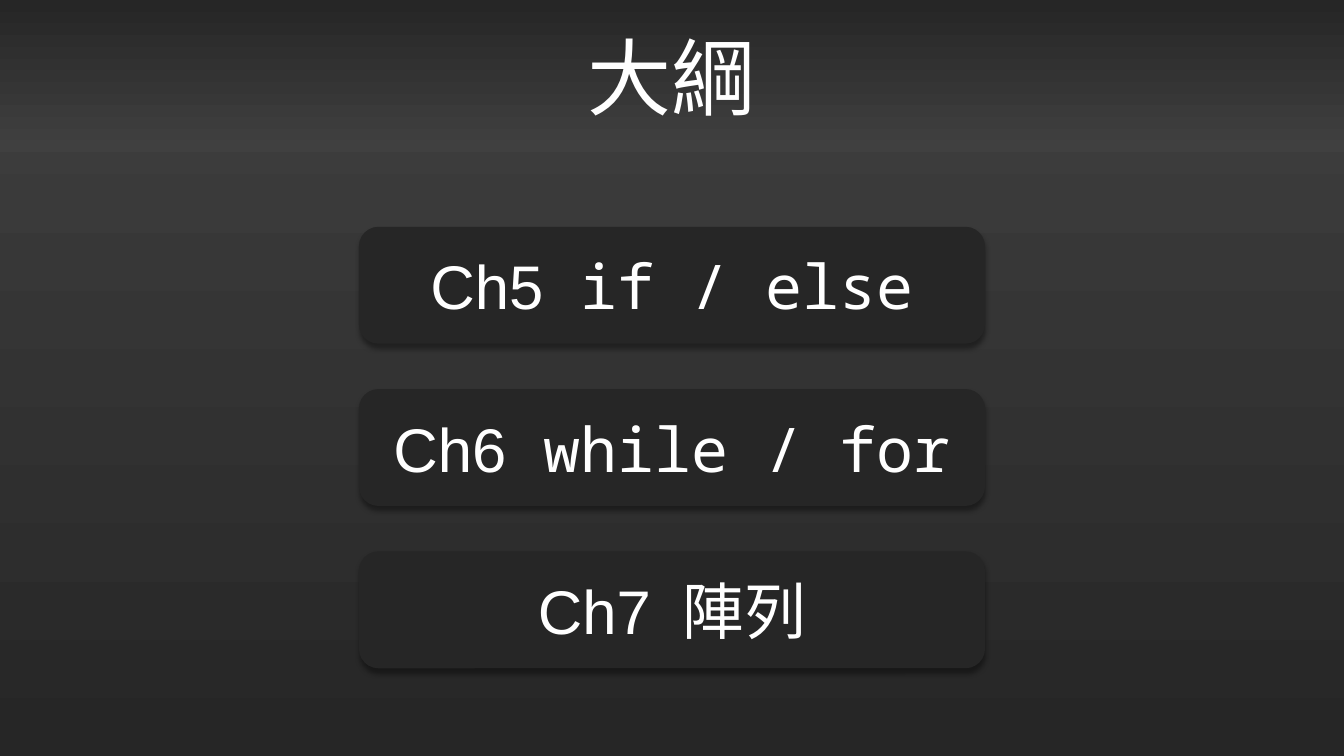
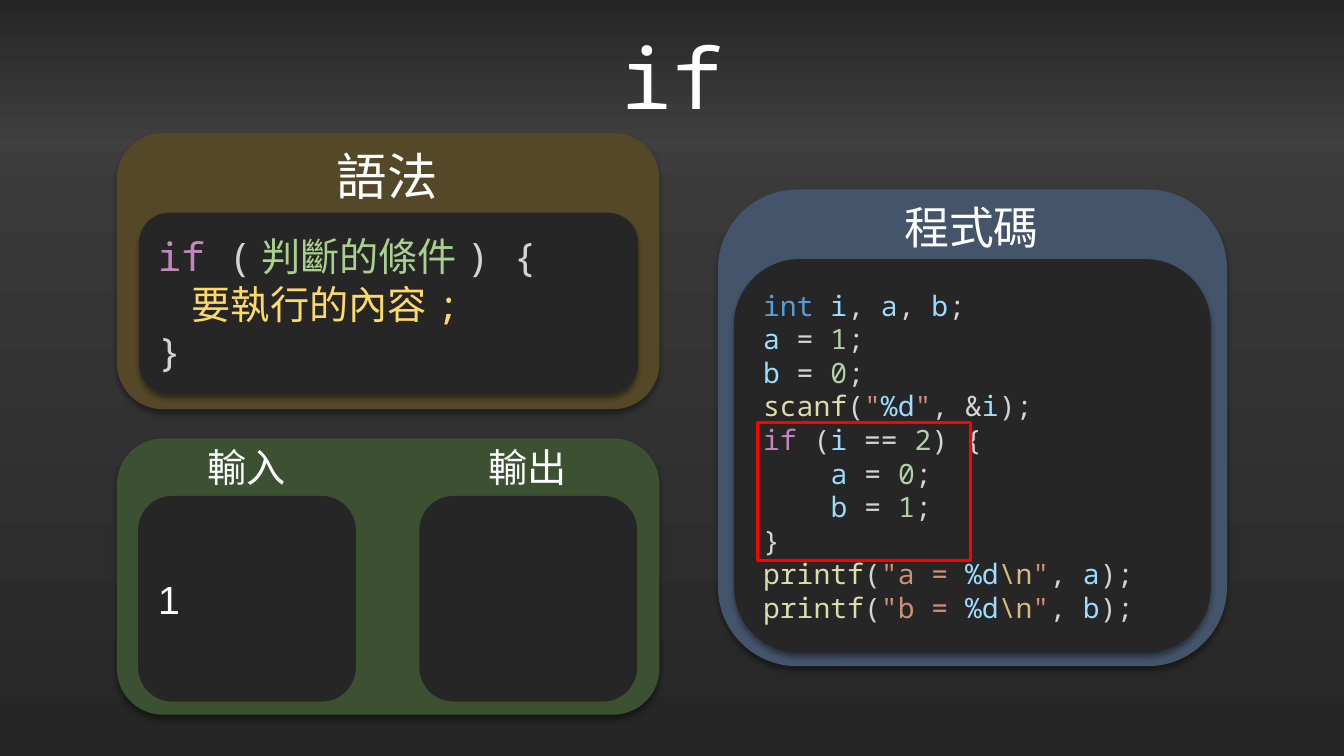
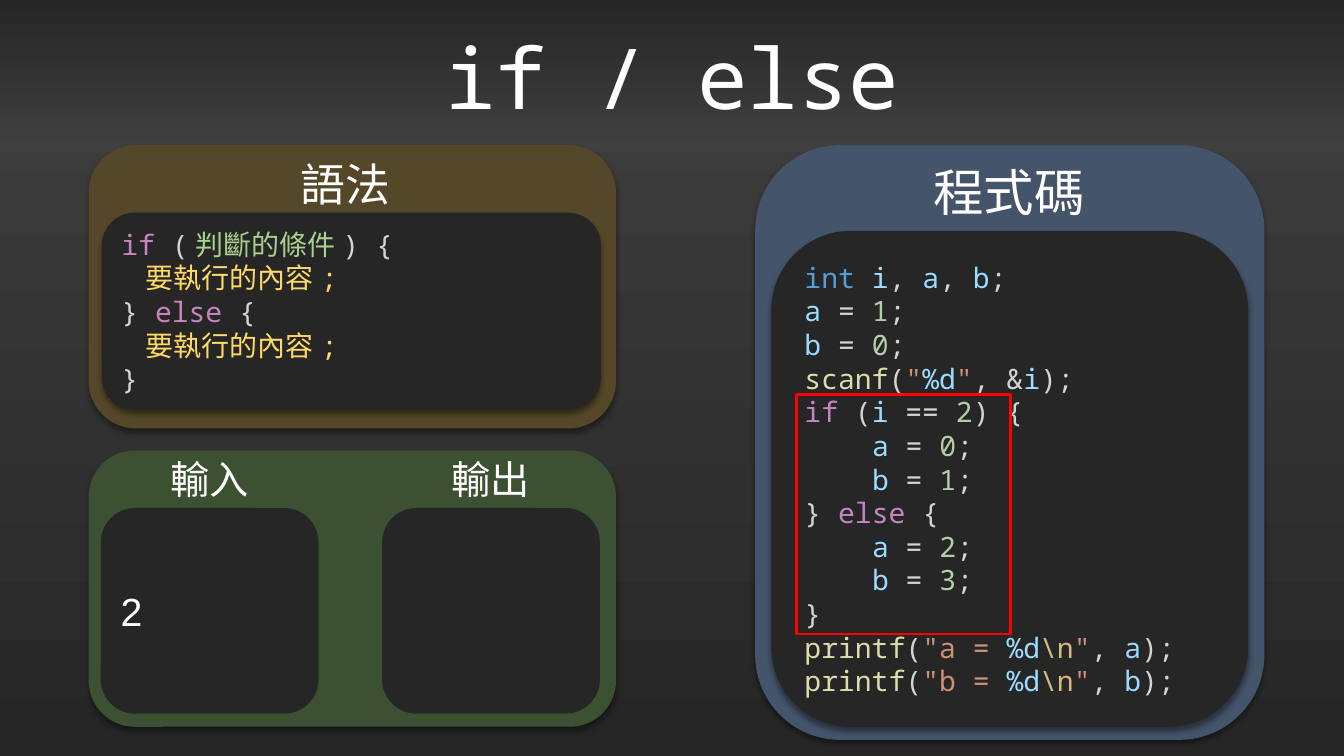
from lxml import etree
from pptx import Presentation, util as u
from pptx.dml.color import RGBColor
from pptx.enum import shapes, text
from pptx.oxml.ns import qn

ARIAL, MONO, CJK = "Arial", "Noto Sans Mono", "Noto Sans CJK TC"
WHITE, DARK, GREY, RED = "FFFFFF", "262626", "404040", "FF0000"
GOLD, GREEN, BLUE = "554829", "3C5032", "44546A"
# Each piece of code starts with the key of its colour.
INK = {
    "t": "569CD6",  # type
    "v": "9CDCFE",  # variable
    "p": "D4D4D4",  # punctuation
    "n": "B5CEA8",  # number
    "f": "DCDCAA",  # function
    "s": "CE9178",  # string
    "k": "C586C0",  # keyword
    "e": "D7BA7D",  # escape
    "c": "A9D18E",  # condition
    "b": "FFD966",  # body
}


def rgb(code):
    return RGBColor.from_string(code)


def inch(vals):
    return [u.Inches(v) for v in vals]


def shade(fill, top, low):
    """Fill with a gradient that runs downwards."""
    fill.gradient()
    fill.gradient_angle = 270
    for stop, code in zip(fill.gradient_stops, (top, low)):
        stop.color.rgb = rgb(code)


def put(obj, vals):
    for key, val in vals.items():
        setattr(obj, key, val)


def let(name, val, pad=""):
    return f"{pad}v{name}|p = |n{val}|p;"


def show(name):
    return f'fprintf|p(|s"{name} = |v%d|e\\n|s"|p, |v{name}|p);'


class Deck:
    def __init__(self):
        self.prs = Presentation()
        put(self.prs, {"slide_width": u.Inches(13.33),
                       "slide_height": u.Inches(7.5)})
        shade(self.prs.slide_master.background.fill, GREY, DARK)

    def page(self, title, font):
        self.slide = self.prs.slides.add_slide(self.prs.slide_layouts[5])
        band = self.slide.shapes.title
        put(band, dict(zip(("left", "top", "width", "height"),
                           inch((0, 0, 13.33, 1.51)))))
        shade(band.fill, DARK, GREY)
        put(band.text_frame, {"auto_size": text.MSO_AUTO_SIZE.NONE,
                              "vertical_anchor": text.MSO_ANCHOR.MIDDLE})
        para = band.text_frame.paragraphs[0]
        para.alignment = text.PP_ALIGN.CENTER
        self.run(para, title, 60, font)

    def run(self, para, words, size, font=ARIAL, color=WHITE):
        run = para.add_run()
        run.text = words
        put(run.font, {"size": u.Pt(size), "name": font, "bold": False})
        run.font.color.rgb = rgb(color)
        east = etree.SubElement(run.font._element, qn("a:ea"))
        east.set("typeface", CJK)

    def box(self, at, fill, glow=True):
        kind = shapes.MSO_SHAPE.ROUNDED_RECTANGLE
        box = self.slide.shapes.add_shape(kind, *inch(at))
        box.shadow.inherit = False
        box.fill.solid()
        box.fill.fore_color.rgb = rgb(fill)
        box.line.fill.background()
        if glow:
            self.glow(box)
        put(box.text_frame, {"word_wrap": True,
                             "vertical_anchor": text.MSO_ANCHOR.MIDDLE})
        box.text_frame.paragraphs[0].alignment = text.PP_ALIGN.LEFT
        return box

    def glow(self, box):
        """Add a soft shadow below the shape."""
        effect = box._element.spPr.find(qn("a:effectLst"))
        outer = etree.SubElement(effect, qn("a:outerShdw"), {
            "blurRad": str(u.Pt(4)), "dist": str(u.Pt(3)),
            "dir": "5400000", "algn": "t", "rotWithShape": "0"})
        tint = etree.SubElement(outer, qn("a:srgbClr"), val="000000")
        etree.SubElement(tint, qn("a:alpha"), val="40000")

    def label(self, words, at, size):
        frame = self.slide.shapes.add_textbox(*inch(at)).text_frame
        put(frame, {"word_wrap": False,
                    "auto_size": text.MSO_AUTO_SIZE.SHAPE_TO_FIT_TEXT})
        self.run(frame.paragraphs[0], words, size)

    def code(self, at, lines, size, step):
        """Write coloured code; a line that starts with > is indented."""
        frame = self.box(at, DARK).text_frame
        for i, line in enumerate(lines):
            para = frame.add_paragraph() if i else frame.paragraphs[0]
            para.alignment = text.PP_ALIGN.LEFT
            if line[0] == ">":
                para._p.get_or_add_pPr().set("marL", str(u.Inches(step)))
            for part in line.lstrip(">").split("|"):
                font = CJK if part[0] in "cb" and part[1:] != ";" else MONO
                self.run(para, part[1:], size, font, INK[part[0]])

    def syntax(self, outer, inner, tag, big, lines, size):
        self.box(outer, GOLD)
        self.code(inner, lines, size, 0.012 * size)
        self.label("語法", tag, big)

    def source(self, x, y, tall, head, tag, big, lines):
        self.box((x, y, 5.05, tall), BLUE)
        self.code((x + 0.16, y + head, 4.73, tall - head - 0.13),
                  lines, 20, 0.67)
        self.label("程式碼", tag, big)

    def mark(self, at):
        kind = shapes.MSO_SHAPE.RECTANGLE
        box = self.slide.shapes.add_shape(kind, *inch(at))
        box.shadow.inherit = False
        box.fill.background()
        box.line.color.rgb = rgb(RED)
        box.line.width = u.Pt(2)

    def ports(self, x, y, wide, pad, given):
        """Draw the input and output boxes in their panel."""
        self.box((x, y, wide, 2.74), GREEN)
        for i, (name, words) in enumerate((("輸入", given), ("輸出", ""))):
            left = x + pad + 2.79 * i
            box = self.box((left, y + 0.57, 2.16, 2.04), DARK, False)
            if words:
                self.run(box.text_frame.paragraphs[0], words, 28)
            self.label(name, (left + 0.59, y, 0.99, 0.57), 28)


def main():
    deck = Deck()

    deck.page("大綱", CJK)
    topics = (("Ch5", " if / else", MONO), ("Ch6", " while / for", MONO),
              ("Ch7 ", "陣列", CJK))
    for i, (num, name, font) in enumerate(topics):
        box = deck.box((3.56, 2.25 + 1.61 * i, 6.21, 1.16), DARK)
        para = box.text_frame.paragraphs[0]
        para.alignment = text.PP_ALIGN.CENTER
        deck.run(para, num, 44)
        deck.run(para, name, 44, font)

    test, body, end = "kif|p (|c判斷的條件|p) {", ">b要執行的內容|b;", "p}"
    turn = "p} |kelse|p {"
    start = ["tint |vi|p, |va|p, |vb|p;", let("a", 1), let("b", 0),
             'fscanf|p(|s"|v%d|s"|p, &|vi|p);',
             "kif|p (|vi|p == |n2|p) {", let("a", 0, ">"), let("b", 1, ">")]
    other = [turn, let("a", 2, ">"), let("b", 3, ">")]
    final = [end, show("a"), show("b")]

    deck.page("if", MONO)
    deck.syntax((1.16, 1.32, 5.38, 2.74), (1.38, 2.11, 4.95, 1.8),
                (3.24, 1.39, 1.21, 0.71), 36, [test, body, end], 28)
    deck.source(7.12, 1.88, 4.73, 0.69, (8.87, 1.93, 1.55, 0.64), 32,
                start + final)
    deck.mark((7.51, 4.19, 2.12, 1.37))
    deck.ports(1.16, 4.35, 5.38, 0.21, "1")

    deck.page("if / else", MONO)
    deck.syntax((0.88, 1.44, 5.23, 2.81), (1.01, 2.11, 4.95, 1.96),
                (2.88, 1.51, 1.21, 0.45), 32,
                [test, body, turn, body, end], 20)
    deck.source(7.49, 1.44, 5.9, 0.85, (9.16, 1.55, 1.72, 0.67), 36,
                start + other + final)
    deck.mark((7.9, 3.91, 2.12, 2.38))
    deck.ports(0.88, 4.47, 5.23, 0.12, "2")

    deck.prs.save("out.pptx")


if __name__ == "__main__":
    main()
